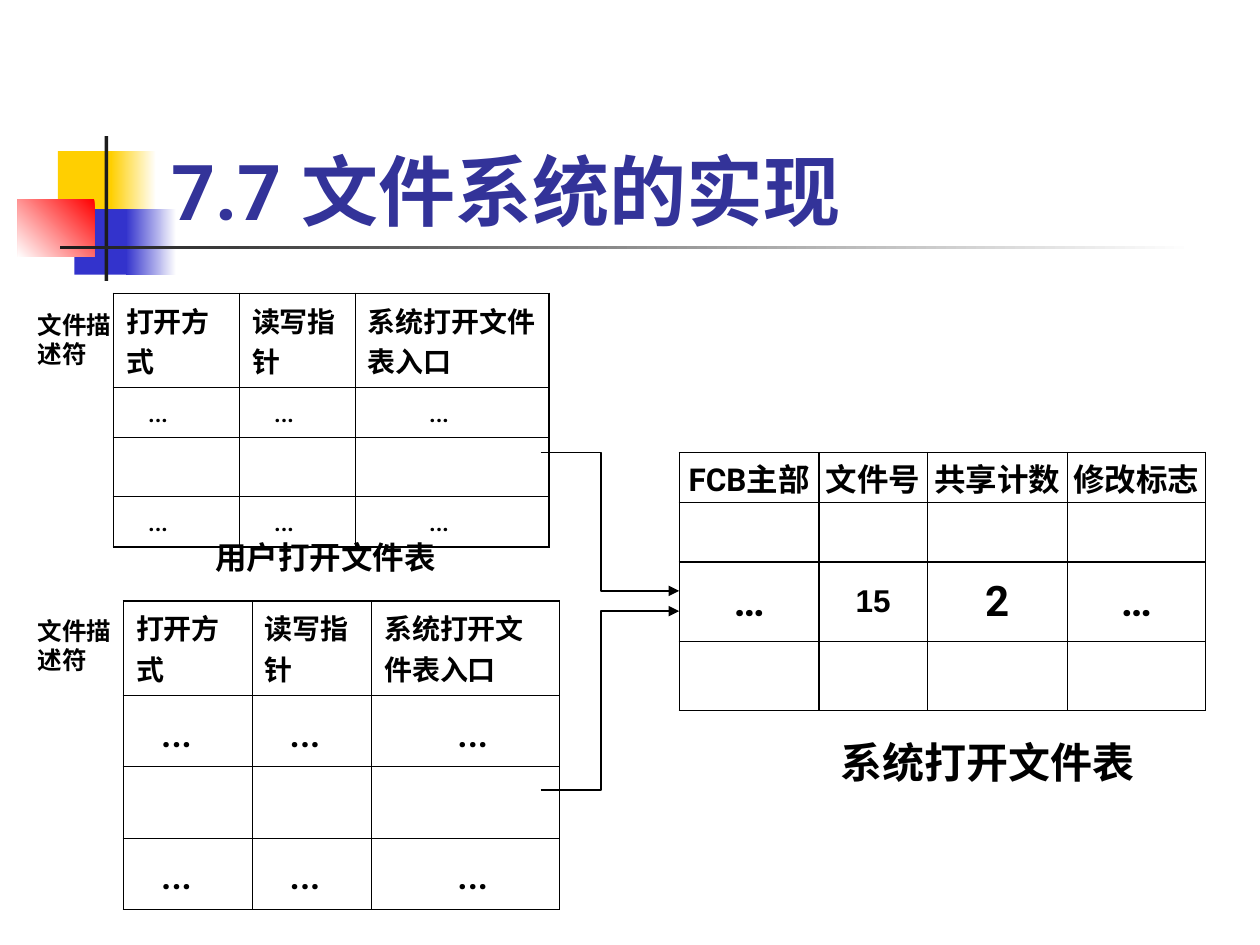
from lxml.etree import SubElement
from pptx import Presentation
from pptx.dml.color import RGBColor
from pptx.enum.shapes import MSO_SHAPE
from pptx.enum.text import MSO_ANCHOR, PP_ALIGN
from pptx.oxml.ns import qn
from pptx.util import Inches, Pt

INK, WHITE = "000000", "FFFFFF"

# left, top, width, height, colours (two make a gradient), angle
DECOR = [
    (0.46, 1.2, 0.48, 0.52, ["FFCF01"], 0),
    (0.88, 1.2, 0.36, 0.52, [WHITE, "FFCF01"], 180),
    (0.59, 1.66, 0.46, 0.52, ["3333CC"], 0),
    (1, 1.66, 0.4, 0.52, [WHITE, "3333CC"], 180),
    (0.14, 1.58, 0.61, 0.46, ["FF0000", WHITE], 225),
    (0.83, 1.08, 0.03, 1.15, ["1C1C1C"], 0),
    (0.48, 1.95, 9, 0.03, [WHITE, "1C1C1C"], 180),
]

# left, top, width, height, text, size, font, colour, anchor
LABELS = [
    (1.26, 0.67, 8.52, 1.25, "7.7 文件系统的实现", 44, "Roboto", "333399", MSO_ANCHOR.BOTTOM),
    (0.2, 2.41, 0.79, 0.57, "文件描述符", 14, "Arial", INK, MSO_ANCHOR.TOP),
    (0.2, 4.84, 0.79, 0.57, "文件描述符", 14, "Arial", INK, MSO_ANCHOR.TOP),
    (1.61, 4.22, 2.28, 0.4, "用户打开文件表", 18, "Arial", INK, MSO_ANCHOR.TOP),
    (6.57, 5.8, 2.68, 0.5, "系统打开文件表", 24, "Roboto", INK, MSO_ANCHOR.TOP),
]

HEAD = ["打开方式", "读写指针", "系统打开文件表入口"]
DOTS = ["…"] * 3
USER_ROWS = [HEAD, DOTS, [""] * 3, DOTS]

# left, top, column widths, row heights, dot size, dot indents
USER_TABLES = [
    (0.9, 2.33, [1, 0.92, 1.54], [0.74, 0.4, 0.47, 0.4], 18, [0.27, 0.27, 0.58]),
    (0.98, 4.77, [1.02, 0.95, 1.49], [0.75, 0.56, 0.57, 0.57], 28, [0.29, 0.29, 0.67]),
]

SYSTEM_COLS = [1.11, 0.86, 1.11, 1.1]
SYSTEM_HEIGHTS = [0.4, 0.47, 0.63, 0.55]
# text, size, font
SYSTEM_ROWS = [
    [("FCB主部", 18, "Roboto"), ("文件号", 18, "Roboto"),
     ("共享计数", 18, "Arial"), ("修改标志", 18, "Roboto")],
    [("", 18, "Roboto")] * 4,
    [("…", 24, "Roboto"), ("15", 18, "Arial"), ("2", 24, "Roboto"), ("…", 24, "Roboto")],
    [("", 18, "Roboto")] * 4,
]

# start and end heights of the arrows into the system table
ARROWS = [(3.59, 4.69), (6.27, 4.85)]
ARROW_X = (4.29, 4.77, 5.39)

deck = Presentation()
deck.slide_width, deck.slide_height = Inches(10), Inches(7.5)
slide = deck.slides.add_slide(deck.slide_layouts[6])
shapes = slide.shapes


def rgb(code):
    return RGBColor.from_string(code)


def box(*sizes):
    return [Inches(size) for size in sizes]


def write(frame, text, size, font, colour=INK, bold=True):
    frame.word_wrap = True
    para = frame.paragraphs[0]
    if not text:
        para.font.size = Pt(size)
        return
    run = para.add_run()
    run.text = text
    run.font.size, run.font.name, run.font.bold = Pt(size), font, bold
    run.font.color.rgb = rgb(colour)


def edge(cell, side, width):
    """Draw one border of a cell."""
    line = SubElement(cell._tc.get_or_add_tcPr(), qn("a:ln" + side), w=str(int(Pt(width))))
    fill = SubElement(line, qn("a:solidFill"))
    SubElement(fill, qn("a:srgbClr"), val=INK)


def grid(left, top, cols, rows, outer, inner):
    """Add a plain ruled table and return it."""
    place = box(left, top, sum(cols), sum(rows))
    table = shapes.add_table(len(rows), len(cols), *place).table
    table.first_row = table.horz_banding = False
    for col, width in zip(table.columns, cols):
        col.width = Inches(width)
    for row, height in zip(table.rows, rows):
        row.height = Inches(height)
    for r in range(len(rows)):
        for c in range(len(cols)):
            cell = table.cell(r, c)
            ends = {"L": c == 0, "R": c == len(cols) - 1,
                    "T": r == 0, "B": r == len(rows) - 1}
            for side, end in ends.items():
                edge(cell, side, outer if end else inner)
            cell.fill.background()
    return table


def draw_decor():
    for *place, colours, angle in DECOR:
        shape = shapes.add_shape(MSO_SHAPE.RECTANGLE, *box(*place))
        shape.shadow.inherit = False
        shape.line.fill.background()
        if len(colours) == 1:
            shape.fill.solid()
            shape.fill.fore_color.rgb = rgb(colours[0])
            continue
        shape.fill.gradient()
        shape.fill.gradient_angle = angle
        for stop, colour in zip(shape.fill.gradient_stops, colours):
            stop.color.rgb = rgb(colour)


def draw_user(left, top, cols, rows, size, indents):
    table = grid(left, top, cols, rows, 1.08, 0.45)
    for r, texts in enumerate(USER_ROWS):
        for c, text in enumerate(texts):
            cell = table.cell(r, c)
            if r == 0:
                write(cell.text_frame, text, 16, "Roboto")
            else:
                cell.margin_left = Inches(indents[c])
                write(cell.text_frame, text, size if text else 18, "Roboto", bold=False)


def draw_system():
    table = grid(5.39, 3.59, SYSTEM_COLS, SYSTEM_HEIGHTS, 0.75, 0.75)
    for r, items in enumerate(SYSTEM_ROWS):
        for c, item in enumerate(items):
            cell = table.cell(r, c)
            cell.margin_left = cell.margin_right = 0
            cell.margin_top = cell.margin_bottom = 0
            cell.vertical_anchor = MSO_ANCHOR.MIDDLE
            write(cell.text_frame, *item)
            cell.text_frame.paragraphs[0].alignment = PP_ALIGN.CENTER


def draw_arrow(start, end):
    first, bend, last = ARROW_X
    pen = shapes.build_freeform(Inches(first), Inches(start))
    turns = [(bend, start), (bend, end), (last, end)]
    pen.add_line_segments([box(*turn) for turn in turns], close=False)
    arrow = pen.convert_to_shape()
    arrow.shadow.inherit = False
    arrow.fill.background()
    arrow.line.color.rgb = rgb(INK)
    arrow.line.width = Pt(0.75)
    SubElement(arrow.line._get_or_add_ln(), qn("a:tailEnd"), type="triangle")


draw_decor()
for spec_row in USER_TABLES:
    draw_user(*spec_row)
draw_system()
for ends in ARROWS:
    draw_arrow(*ends)
for *place, text, size, font, colour, anchor in LABELS:
    frame = shapes.add_textbox(*box(*place)).text_frame
    frame.vertical_anchor = anchor
    write(frame, text, size, font, colour)
deck.save("out.pptx")
